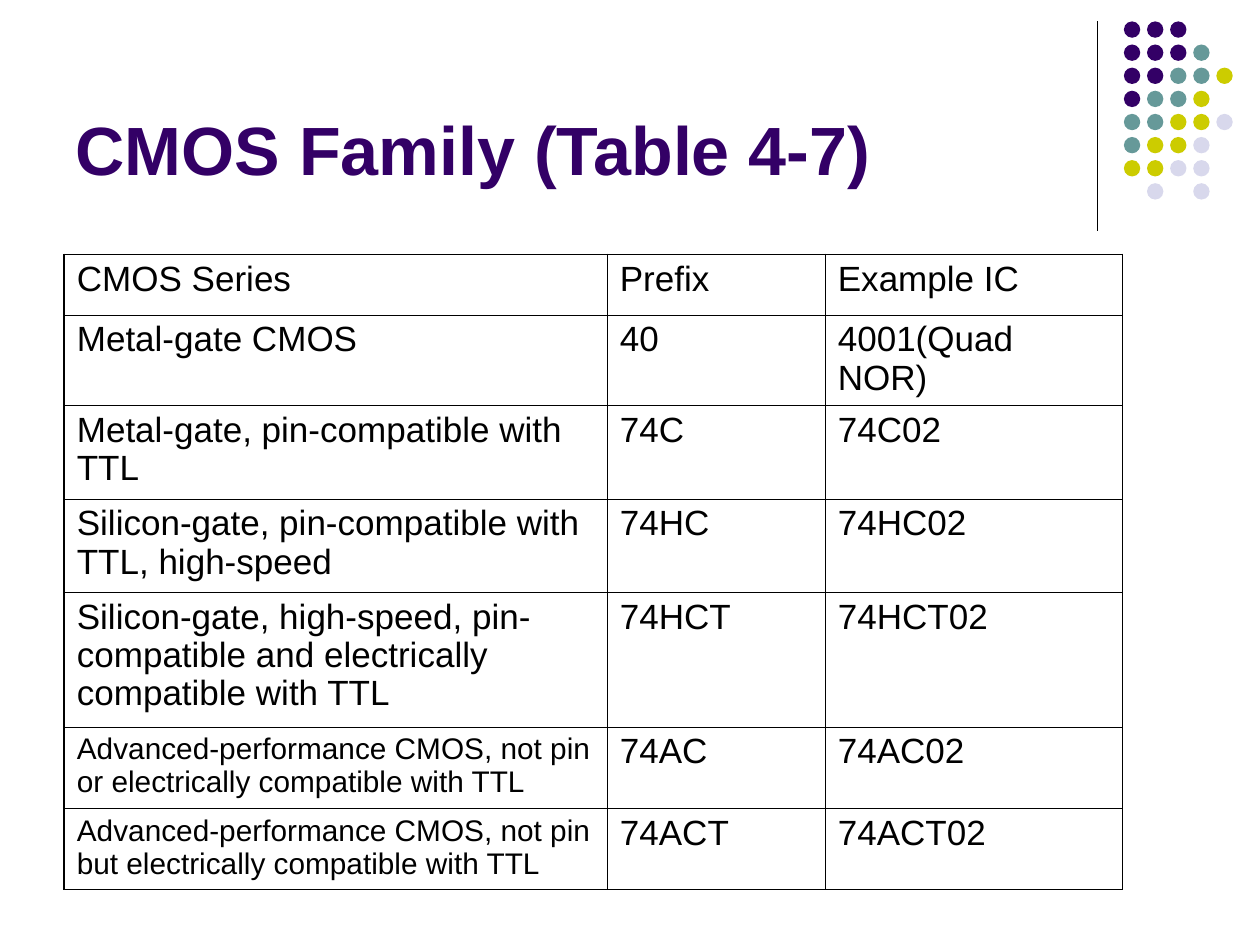
from typing import NamedTuple

from lxml.etree import SubElement as Sub
from pptx import Presentation
from pptx.dml.color import RGBColor
from pptx.enum.shapes import MSO_CONNECTOR as Link, MSO_SHAPE as Shape
from pptx.enum.text import MSO_ANCHOR as Anchor, MSO_AUTO_SIZE as Fit, PP_ALIGN as Align
from pptx.oxml import parse_xml
from pptx.oxml.ns import nsdecls, qn
from pptx.util import Inches, Pt

PLUM = RGBColor(0x33, 0x00, 0x66)
TEAL = RGBColor(0x66, 0x99, 0x99)
LIME = RGBColor(0xCC, 0xCC, 0x00)
MIST = RGBColor(0xD8, 0xD8, 0xEC)
BLACK = RGBColor(0, 0, 0)

WIDE, HIGH = Inches(10), Inches(7.5)
FONT = "Arial"
THIN, THICK = Pt(0.45), Pt(1.08)
TINTS = {"P": PLUM, "T": TEAL, "L": LIME, "M": MIST}
DOTS = ("PPP", "PPPT", "PPTTL", "PTTL", "TTLLM", "TLLM", "LLMM", " M M")
COLS = (4.31, 1.73, 2.36)


class Row(NamedTuple):
    """One table row: its height in inches, texts and first-cell size."""
    high: float
    texts: tuple[str, str, str]
    size: int = 20


ROWS = (
    Row(0.48, ("CMOS Series", "Prefix", "Example IC")),
    Row(0.72, ("Metal-gate CMOS", "40", "4001(Quad NOR)")),
    Row(0.74, ("Metal-gate, pin-compatible with TTL", "74C", "74C02")),
    Row(0.74, ("Silicon-gate, pin-compatible with TTL, high-speed", "74HC", "74HC02")),
    Row(1.07, ("Silicon-gate, high-speed, pin-compatible and electrically "
               "compatible with TTL", "74HCT", "74HCT02")),
    Row(0.65, ("Advanced-performance CMOS, not pin or electrically "
               "compatible with TTL", "74AC", "74AC02"), 17),
    Row(0.64, ("Advanced-performance CMOS, not pin but electrically "
               "compatible with TTL", "74ACT", "74ACT02"), 17),
)


def style(para, size: float, tint: RGBColor, bold: bool = False) -> None:
    """Set the font of a whole paragraph."""
    font = para.font
    font.name, font.size, font.bold = FONT, Pt(size), bold
    font.color.rgb = tint


def draw_title(slide, text: str) -> None:
    """Place and format the title."""
    box = slide.shapes.title
    box.left, box.top = int(WIDE * 0.05), Inches(0.13)
    box.width, box.height = Inches(8.25), Inches(1.42)
    frame = box.text_frame
    frame.text = text
    frame.auto_size, frame.vertical_anchor = Fit.NONE, Anchor.BOTTOM
    para = frame.paragraphs[0]
    para.alignment = Align.LEFT
    style(para, 39, PLUM, True)


def draw_rule(slide) -> None:
    """Draw the upright rule beside the dots."""
    left = Inches(8.71)
    rule = slide.shapes.add_connector(Link.STRAIGHT, left, Inches(0.17), left, Inches(1.83))
    rule.line.color.rgb, rule.line.width = BLACK, Pt(0.75)
    Sub(rule._element.spPr, qn("a:effectLst"))


def draw_dots(slide) -> None:
    """Draw the grid of coloured dots as a group."""
    group = slide.shapes.add_group_shape()
    step, size = 0.1835, Inches(0.13)
    for row, line in enumerate(DOTS):
        for col, key in enumerate(line):
            if key in TINTS:
                dot = group.shapes.add_shape(
                    Shape.OVAL, Inches(8.92 + col * step), Inches(0.17 + row * step), size, size)
                dot.shadow.inherit = False
                dot.fill.solid()
                dot.fill.fore_color.rgb = TINTS[key]
                dot.line.fill.background()


def edge(cell, sides: dict[str, int]) -> None:
    """Give a cell its borders, keyed by side."""
    props = cell._tc.get_or_add_tcPr()
    for spot, (side, width) in enumerate(sides.items()):
        props.insert(spot, parse_xml(
            f'<a:ln{side} {nsdecls("a")} w="{width}"><a:solidFill>'
            f'<a:srgbClr val="{BLACK}"/></a:solidFill></a:ln{side}>'))


def draw_table(slide) -> None:
    """Draw the table, with a thick frame and thin inner lines."""
    rows, cols = len(ROWS), len(COLS)
    table = slide.shapes.add_table(
        rows, cols, Inches(0.51), Inches(2.02), Inches(sum(COLS)),
        Inches(sum(row.high for row in ROWS))).table
    table.first_row = table.horz_banding = False
    for col, width in zip(table.columns, COLS):
        col.width = Inches(width)
    for r, row in enumerate(ROWS):
        table.rows[r].height = Inches(row.high)
        for c, text in enumerate(row.texts):
            cell = table.cell(r, c)
            cell.text = text
            cell.fill.background()
            para = cell.text_frame.paragraphs[0]
            para.line_spacing = 0.98
            style(para, 20 if c else row.size, BLACK)
            edge(cell, {
                "L": THIN if c else THICK,
                "R": THICK if c == cols - 1 else THIN,
                "T": THIN if r else THICK,
                "B": THICK if r == rows - 1 else THIN,
            })


def main() -> None:
    """Build and save the slide."""
    deck = Presentation()
    deck.slide_width, deck.slide_height = WIDE, HIGH
    slide = deck.slides.add_slide(deck.slide_layouts[5])
    draw_title(slide, "CMOS Family (Table 4-7)")
    draw_rule(slide)
    draw_dots(slide)
    draw_table(slide)
    deck.save("out.pptx")


if __name__ == "__main__":
    main()
